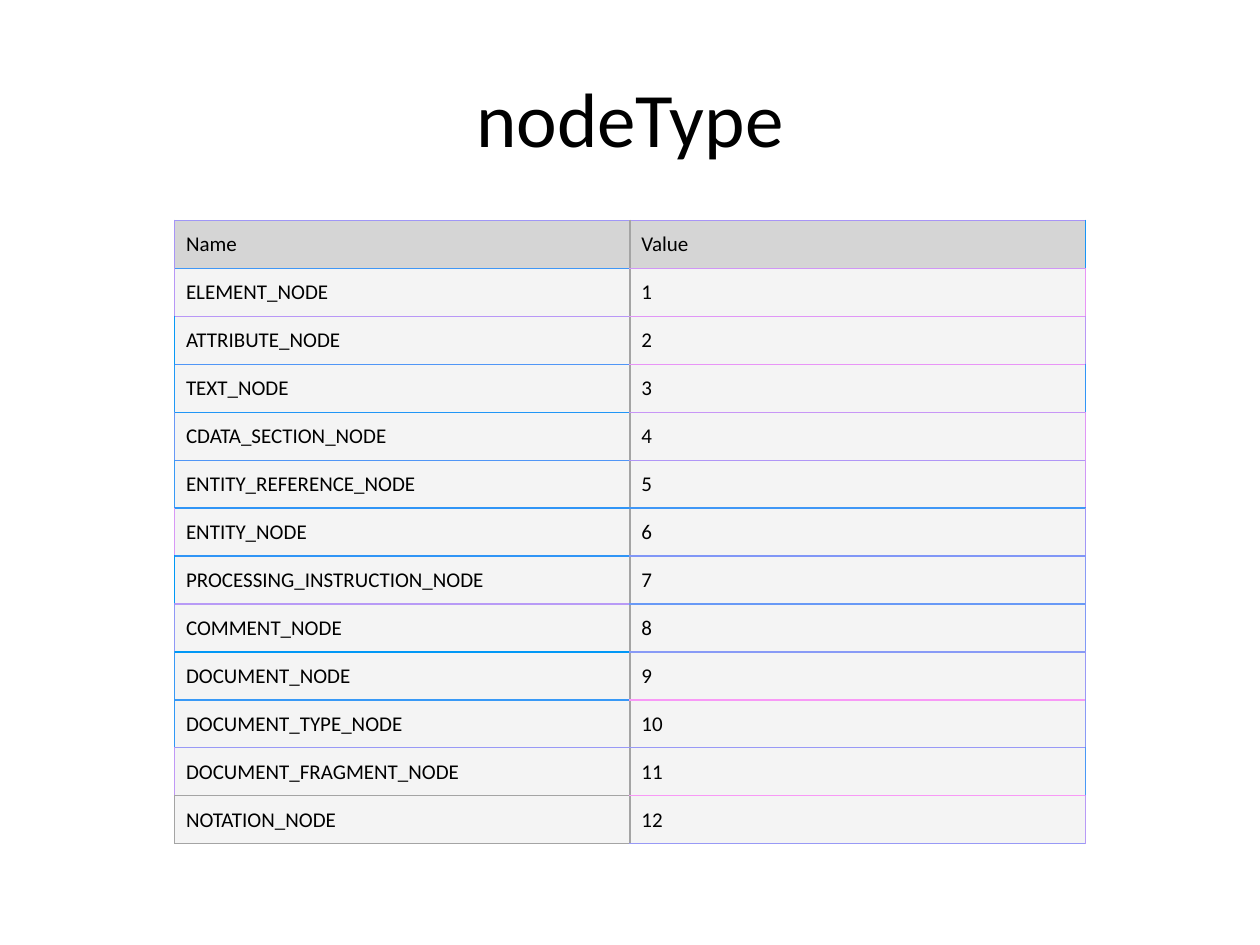
"""Build a slide with a table of the DOM nodeType constants."""
from lxml import etree
from pptx import Presentation
from pptx.dml.color import RGBColor
from pptx.enum.text import MSO_ANCHOR, PP_ALIGN
from pptx.oxml.ns import qn
from pptx.util import Cm, Pt

MIDDLE = MSO_ANCHOR.MIDDLE
CENTER = PP_ALIGN.CENTER
FONT = "Calibri"
COLORS = {"text": "000000", "header": "D5D5D5", "body": "F4F4F4", "divider": "A4A4A4"}
ROW_LINES = [
    "A097F6 4097F6 B897F6 5096F6 2096F6 5096F6 3095F6 "
    "3095F6 B89AF6 0098F6 3899F6 9899F6 A4A4A4 A4A4A4".split(),
    "A895F6 D097F6 E096F6 E894F6 C896F6 B096F6 4097F6 "
    "8096F6 6899F6 889AF6 F899F6 9899F6 F899F6 9899F6".split(),
]
LEFT_LINES = ("A895F6 B897F6 0899F6 2099F6 6899F6 3899F6 D898F6 "
              "0098F6 9098F6 3899F6 3098F6 C098F6 A4A4A4").split()
RIGHT_LINES = ("1895F6 E894F6 B897F6 3095F6 E096F6 D097F6 A097F6 "
               "889AF6 8099F6 9899F6 889AF6 4898F6 B89AF6").split()
NAMES = [
    "ELEMENT_NODE", "ATTRIBUTE_NODE", "TEXT_NODE", "CDATA_SECTION_NODE",
    "ENTITY_REFERENCE_NODE", "ENTITY_NODE", "PROCESSING_INSTRUCTION_NODE",
    "COMMENT_NODE", "DOCUMENT_NODE", "DOCUMENT_TYPE_NODE",
    "DOCUMENT_FRAGMENT_NODE", "NOTATION_NODE",
]


def set_text(tf, text, size):
    tf.text = text
    font = tf.paragraphs[0].runs[0].font
    font.name = FONT
    font.size = Pt(size)
    font.bold = False
    font.color.rgb = RGBColor.from_string(COLORS["text"])


def add_border(cell, side, color):
    tc_pr = cell._tc.get_or_add_tcPr()
    ln = etree.SubElement(tc_pr, qn(f"a:ln{side}"), w=str(Pt(0.75)))
    fill = etree.SubElement(ln, qn("a:solidFill"))
    etree.SubElement(fill, qn("a:srgbClr"), val=color)


prs = Presentation()
prs.slide_width, prs.slide_height = Cm(25.4), Cm(19.05)
s = prs.slides.add_slide(prs.slide_layouts[6])

title = s.shapes.add_textbox(Cm(1.27), Cm(0.76), Cm(22.86), Cm(3.18))
tf = title.text_frame
tf.word_wrap = True
tf.vertical_anchor = MIDDLE
set_text(tf, "nodeType", 44)
tf.paragraphs[0].alignment = CENTER

rows = [("Name", "Value")] + [(name, str(i)) for i, name in enumerate(NAMES, 1)]
table = s.shapes.add_table(len(rows), 2, Cm(3.52), Cm(4.44), Cm(18.36), Cm(12.58)).table
table.first_row = True
table.horz_banding = False

for i, row in enumerate(rows):
    sides = [LEFT_LINES[i], COLORS["divider"], RIGHT_LINES[i]]
    for j, text in enumerate(row):
        cell = table.cell(i, j)
        set_text(cell.text_frame, text, 12)
        cell.vertical_anchor = MIDDLE
        cell.margin_left = cell.margin_right = Cm(0.23)
        cell.margin_top = cell.margin_bottom = Cm(0.22)
        add_border(cell, "L", sides[j])
        add_border(cell, "R", sides[j + 1])
        add_border(cell, "T", ROW_LINES[j][i])
        add_border(cell, "B", ROW_LINES[j][i + 1])
        cell.fill.solid()
        cell.fill.fore_color.rgb = RGBColor.from_string(COLORS["body" if i else "header"])

prs.save("out.pptx")
